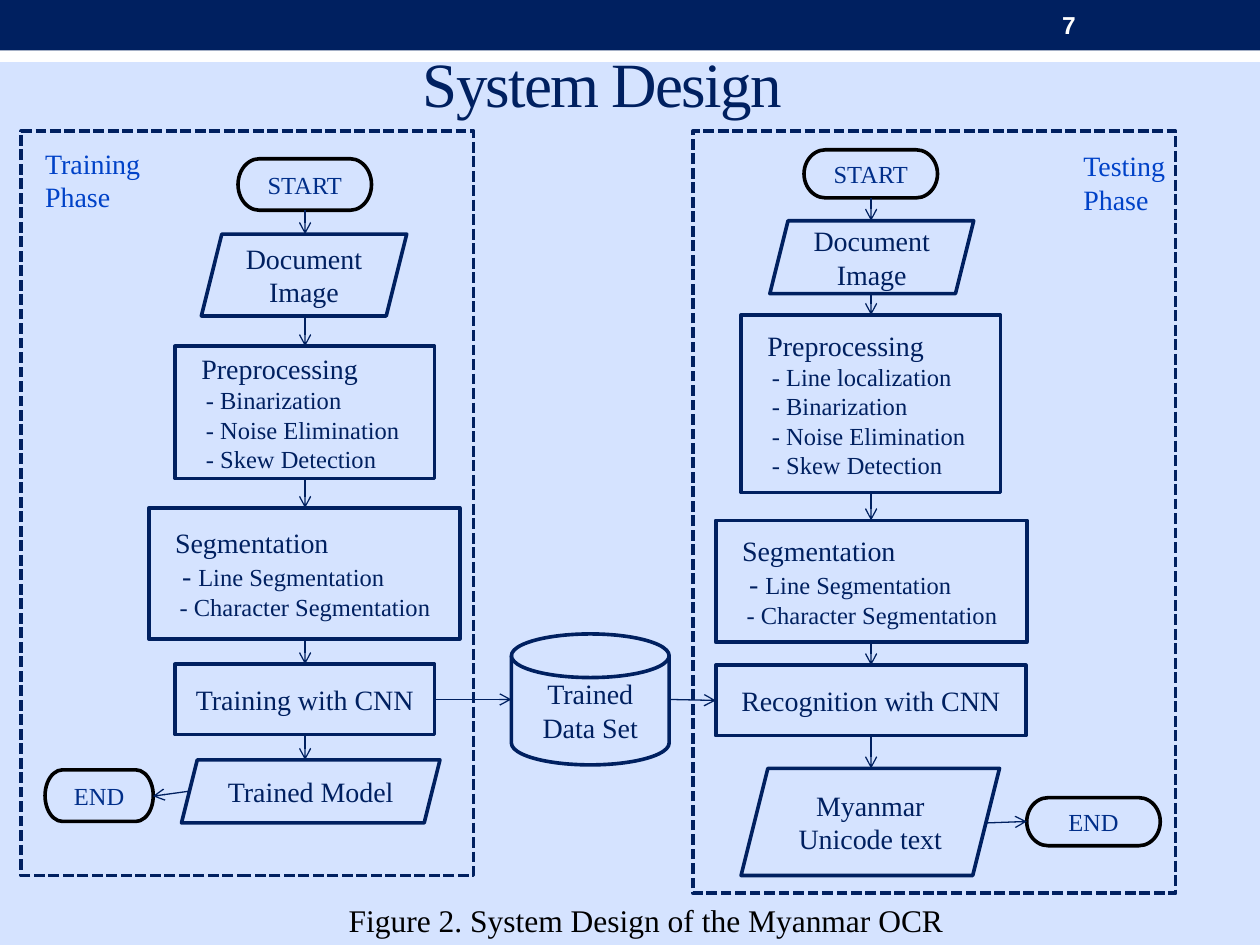
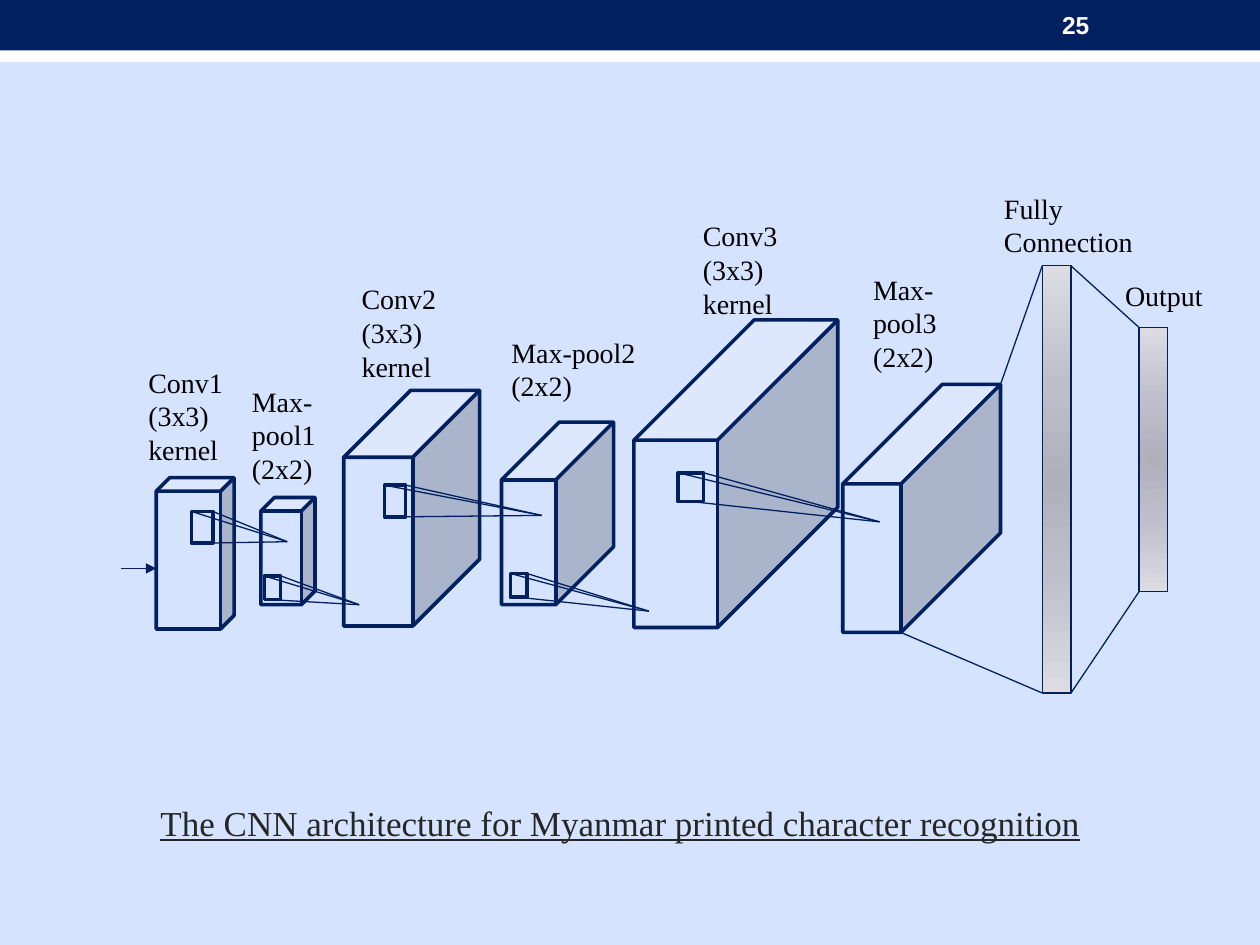
import pptx
import pptx.util
import pptx.dml.color
import pptx.enum.dml
import pptx.enum.shapes
import pptx.enum.text
import pptx.oxml
import pptx.oxml.ns
import lxml.etree

Cm = pptx.util.Cm
Pt = pptx.util.Pt
RGBColor = pptx.dml.color.RGBColor
Preset = pptx.enum.shapes.MSO_SHAPE
Align = pptx.enum.text.PP_ALIGN
Anchor = pptx.enum.text.MSO_ANCHOR

NAVY = RGBColor(0x00, 0x20, 0x60)
BLUE = RGBColor(0x00, 0x2E, 0x89)
BRIGHT_BLUE = RGBColor(0x00, 0x42, 0xC8)
PALE_BLUE = RGBColor(0xD5, 0xE3, 0xFF)
CHARCOAL = RGBColor(0x26, 0x26, 0x26)
BLACK = RGBColor(0, 0, 0)
WHITE = RGBColor(0xFF, 0xFF, 0xFF)
BAR_STOPS = [(0, "AFB0BA"), (45, "BEBFCA"), (100, "DCDCE2")]

SERIF = "Times New Roman"
THICK, THIN = 2.08, 0.75

SEGMENTATION = [
    (0.28, [("Segmentation", 16)]),
    (0.42, [("- ", 16), ("Line Segmentation", 14)]),
    (0.37, [("- Character Segmentation", 14)]),
]


def preprocessing(*steps):
    return [(0.28, [("Preprocessing", 16)])] + [(0.37, [("- " + step, 14)]) for step in steps]


TRAINING = {
    "axis": 6.15,
    "frame": (0.43, 2.64, 9.12, 15.01),
    "label": ("Training Phase", (0.66, 2.82, 3.12, 1.63)),
    "steps": [
        ("terminal", "START", (4.8, 3.2, 2.69, 1.04)),
        ("data", "Document Image", (4.06, 4.72, 4.14, 1.65)),
        ("process", preprocessing("Binarization", "Noise Elimination", "Skew Detection"),
         (3.53, 6.98, 5.23, 2.67)),
        ("process", SEGMENTATION, (3, 10.24, 6.27, 2.64)),
        ("process", "Training with CNN", (3.53, 13.39, 5.23, 1.42)),
        ("data", "Trained Model", (3.66, 15.32, 5.21, 1.27)),
    ],
    "end": (0.91, 15.52, 2.18, 1.04),
}
TESTING = {
    "axis": 17.56,
    "frame": (13.97, 2.64, 9.73, 15.37),
    "label": ("Testing Phase", (21.59, 2.87, 2.9, 1.63)),
    "steps": [
        ("terminal", "START", (16.21, 3.02, 2.69, 0.97)),
        ("data", "Document Image", (15.52, 4.45, 4.11, 1.47)),
        ("process", preprocessing("Line localization", "Binarization", "Noise Elimination",
                                  "Skew Detection"), (14.94, 6.35, 5.23, 3.58)),
        ("process", SEGMENTATION, (14.43, 10.49, 6.27, 2.46)),
        ("process", "Recognition with CNN", (14.43, 13.41, 6.25, 1.42)),
        ("data", "Myanmar Unicode text", (14.94, 15.49, 5.21, 2.16)),
    ],
    "end": (20.7, 16.08, 2.69, 0.97),
}
DATA_SET = ("store", "Trained Data Set", (10.31, 12.78, 3.18, 2.64))
SIDE_ARROWS = [
    (8.76, 14.1, 10.31, 14.1),
    (13.49, 14.1, 14.43, 14.12),
    (3.81, 15.95, 3.08, 16.05),
    (19.86, 16.59, 20.7, 16.56),
]
STEP_STYLES = {
    "terminal": (Preset.FLOWCHART_TERMINATOR, None, BLACK, BLUE, 14),
    "data": (Preset.PARALLELOGRAM, PALE_BLUE, NAVY, NAVY, 16),
    "process": (Preset.RECTANGLE, PALE_BLUE, NAVY, NAVY, 16),
    "store": (Preset.FLOWCHART_MAGNETIC_DISK, PALE_BLUE, NAVY, NAVY, 16),
}

LAYERS = [
    ((3.15, 9.63, 1.57, 3.05), 0.173),
    ((5.26, 10.03, 1.09, 2.16), 0.25),
    ((6.93, 7.87, 2.74, 4.75), 0.492),
    ((10.11, 8.51, 2.26, 3.68), 0.516),
    ((12.78, 6.45, 4.11, 6.2), 0.59),
    ((16.99, 7.75, 3.18, 5), 0.631),
]
KERNELS = [
    ((3.86, 10.31, 0.43, 0.64), (5.79, 10.92)),
    ((5.33, 11.61, 0.33, 0.48), (7.24, 12.19)),
    ((7.75, 9.78, 0.43, 0.64), (10.92, 10.39)),
    ((10.29, 11.56, 0.33, 0.48), (13.08, 12.32)),
    ((13.67, 9.53, 0.51, 0.58), (17.73, 10.52)),
]
BARS = [(21.01, 5.36, 0.58, 8.61), (22.96, 6.6, 0.58, 5.33)]
INPUT_ARROW = (2.44, 11.46, 3.15, 11.46)
LAYER_LABELS = [
    (["Conv1", "(3x3) kernel"], (2.74, 7.24, 2.49, 2.31)),
    (["Max-pool1 (2x2)"], (4.83, 7.62, 2.87, 2.31)),
    (["Conv2", "(3x3) kernel"], (7.04, 5.56, 2.51, 2.31)),
    (["Max-pool2 (2x2)"], (10.06, 6.63, 3.04, 1.63)),
    (["Conv3", "(3x3) kernel"], (13.92, 4.29, 2.41, 2.31)),
    (["Max-pool3 (2x2)"], (17.35, 5.36, 2.31, 2.31)),
    (["Fully Connection"], (19.99, 3.73, 3.18, 1.63)),
    (["Output"], (22.43, 5.49, 2.34, 0.94)),
]


def write(shape, paras, color, align=Align.LEFT, anchor=Anchor.TOP, font=SERIF, **styles):
    frame = shape.text_frame
    frame.word_wrap = True
    frame.vertical_anchor = anchor
    for index, (indent, spans) in enumerate(paras):
        para = frame.add_paragraph() if index else frame.paragraphs[0]
        para.alignment = align
        if indent:
            para._p.get_or_add_pPr().set("marL", str(Cm(indent)))
        for text, size in spans:
            span = para.add_run()
            span.text = text
            span.font.name = font
            span.font.size = Pt(size)
            span.font.color.rgb = color
            for style, value in styles.items():
                setattr(span.font, style, value)


def add_text(page, lines, place, size, color, **options):
    box = page.shapes.add_textbox(*map(Cm, place))
    write(box, [(0, [(line, size)]) for line in lines], color, **options)
    return box


def add_block(page, preset, place, fill=PALE_BLUE, line=NAVY, weight=THICK):
    shape = page.shapes.add_shape(preset, *map(Cm, place))
    shape.shadow.inherit = False
    if fill is None:
        shape.fill.background()
    else:
        shape.fill.solid()
        shape.fill.fore_color.rgb = fill
    if line is None:
        shape.line.fill.background()
    else:
        shape.line.color.rgb = line
        shape.line.width = Pt(weight)
    return shape


def add_line(page, ends, head=None):
    line = page.shapes.add_connector(pptx.enum.shapes.MSO_CONNECTOR.STRAIGHT, *map(Cm, ends))
    line.line.color.rgb = NAVY
    line.line.width = Pt(THIN)
    properties = line._element.spPr
    if head:
        tail = lxml.etree.SubElement(line.line._get_or_add_ln(), pptx.oxml.ns.qn("a:tailEnd"))
        tail.set("type", head)
    lxml.etree.SubElement(properties, pptx.oxml.ns.qn("a:effectLst"))


def add_page(deck, number):
    page = deck.slides.add_slide(deck.slide_layouts[6])
    page.background.fill.solid()
    page.background.fill.fore_color.rgb = PALE_BLUE
    add_block(page, Preset.RECTANGLE, (0, 0.61, 25.4, 0.64), WHITE, None)
    add_block(page, Preset.RECTANGLE, (0, 0, 25.4, 1.02), NAVY, None)
    add_text(page, [number], (21.16, 0.05, 2.97, 0.91), 14, WHITE,
             anchor=Anchor.MIDDLE, font="Arial", bold=True)
    return page


def add_step(page, kind, content, place):
    preset, fill, line, color, size = STEP_STYLES[kind]
    shape = add_block(page, preset, place, fill, line)
    is_list = isinstance(content, list)
    paras = content if is_list else [(0, [(content, size)])]
    write(shape, paras, color, Align.LEFT if is_list else Align.CENTER, Anchor.MIDDLE)


def add_phase(page, phase):
    frame = add_block(page, Preset.RECTANGLE, phase["frame"], None)
    frame.line.dash_style = pptx.enum.dml.MSO_LINE.SQUARE_DOT
    label, place = phase["label"]
    add_text(page, [label], place, 16, BRIGHT_BLUE)
    steps = phase["steps"]
    for step in steps:
        add_step(page, *step)
    add_step(page, "terminal", "END", phase["end"])
    for (_, _, upper), (_, _, lower) in zip(steps, steps[1:]):
        add_line(page, (phase["axis"], upper[1] + upper[3], phase["axis"], lower[1]), "arrow")


def add_bar(page, place):
    bar = add_block(page, Preset.RECTANGLE, place, weight=THIN)
    stops = "".join(f'<a:gs pos="{position * 1000}"><a:srgbClr val="{color}"/></a:gs>'
                    for position, color in BAR_STOPS)
    gradient = pptx.oxml.parse_xml(
        f'<a:gradFill {pptx.oxml.ns.nsdecls("a")} rotWithShape="1"><a:gsLst>{stops}</a:gsLst>'
        '<a:path path="circle"><a:fillToRect l="100000" t="100000" r="100000" b="100000"/>'
        '</a:path></a:gradFill>')
    properties = bar._element.spPr
    properties.replace(properties.find(pptx.oxml.ns.qn("a:solidFill")), gradient)


def build_system_design(deck):
    page = add_page(deck, "7")
    title = add_text(page, ["System Design"], (0.71, 0.28, 22.86, 2.74), 36, NAVY,
                     align=Align.CENTER, anchor=Anchor.MIDDLE)
    title.text_frame.paragraphs[0].runs[0].font._element.set("spc", "-100")
    for phase in (TRAINING, TESTING):
        add_phase(page, phase)
    add_step(page, *DATA_SET)
    for ends in SIDE_ARROWS:
        add_line(page, ends, "arrow")
    add_text(page, ["Figure 2. System Design of the Myanmar OCR"],
             (6.78, 18.03, 12.78, 1.02), 18, BLACK)


def build_cnn_architecture(deck):
    page = add_page(deck, "25")
    for place, depth in LAYERS:
        add_block(page, Preset.CUBE, place).adjustments[0] = depth
    for place in BARS:
        add_bar(page, place)

    (left, top, width, height), depth = LAYERS[-1]
    (full_left, full_top, full_width, full_height), (out_left, out_top, _, out_height) = BARS
    full_right, full_bottom = full_left + full_width, full_top + full_height
    front_right = left + width - depth * min(width, height)
    add_line(page, (left + width, top, full_left, full_top))
    add_line(page, (front_right, top + height, full_left, full_bottom))
    add_line(page, (full_right, full_top, out_left, out_top))
    add_line(page, (full_right, full_bottom, out_left, out_top + out_height))

    add_line(page, INPUT_ARROW, "triangle")
    for (left, top, width, height), apex in KERNELS:
        add_block(page, Preset.RECTANGLE, (left, top, width, height))
        for start in ((left, top), (left + width, top), (left + width / 2, top + height)):
            add_line(page, start + apex)
    for lines, place in LAYER_LABELS:
        add_text(page, lines, place, 16, BLACK)
    add_text(page, ["The CNN architecture for Myanmar printed character recognition"],
             (2.59, 16.03, 19.84, 1.12), 20, CHARCOAL, align=Align.CENTER, underline=True)


def main():
    deck = pptx.Presentation()
    deck.slide_width, deck.slide_height = Cm(25.4), Cm(19.05)
    build_system_design(deck)
    build_cnn_architecture(deck)
    deck.save("out.pptx")


if __name__ == "__main__":
    main()
